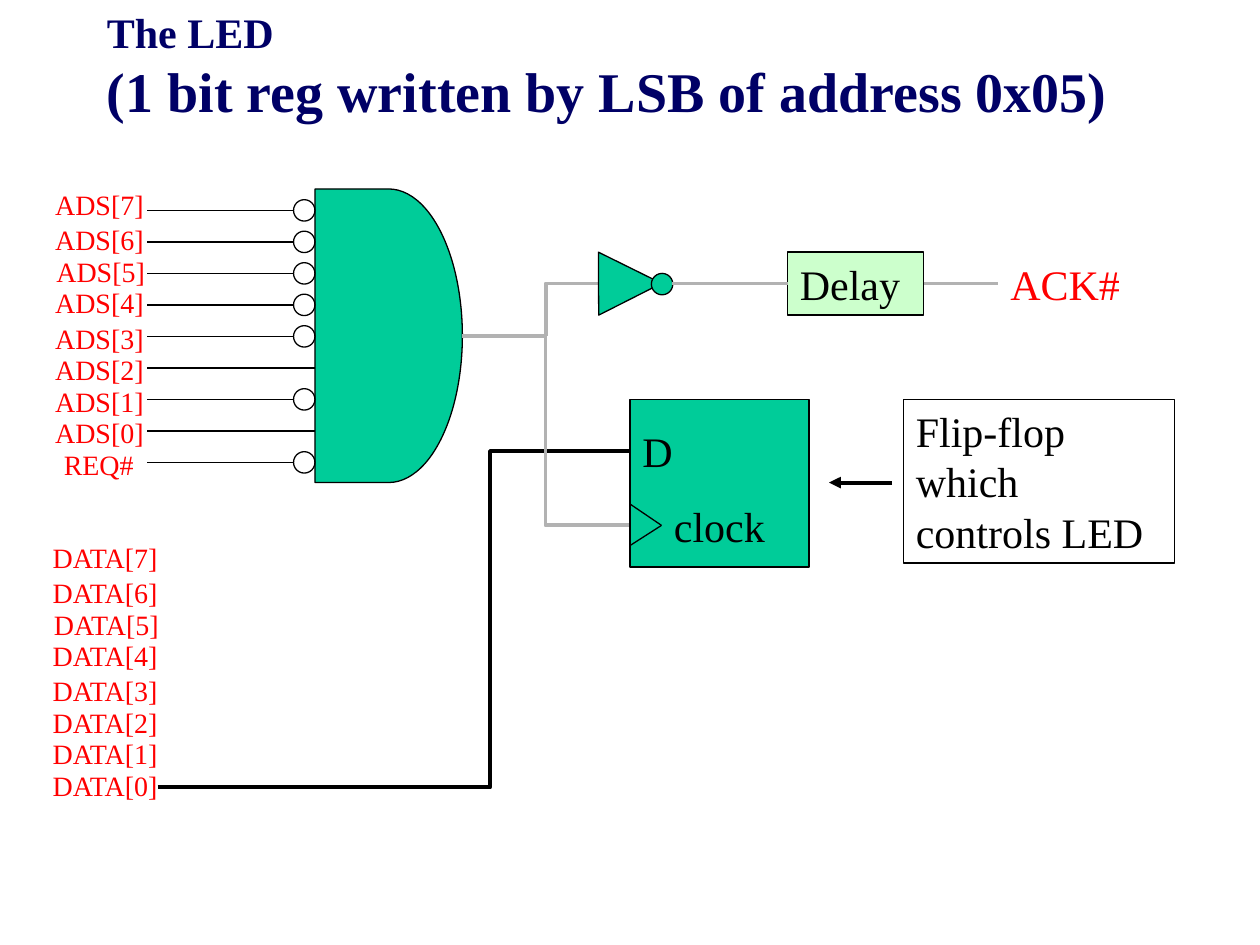
import pptx
import pptx.dml.color
import pptx.enum.shapes
import pptx.enum.text
import pptx.oxml
import pptx.oxml.ns
import pptx.util

Inches = pptx.util.Inches
SHAPE = pptx.enum.shapes.MSO_SHAPE
ALIGN = pptx.enum.text.PP_ALIGN
AUTO_SIZE = pptx.enum.text.MSO_AUTO_SIZE
STRAIGHT = pptx.enum.shapes.MSO_CONNECTOR.STRAIGHT
color = pptx.dml.color.RGBColor.from_string

BLACK, GREY, GREEN, RED = "000000", "B2B2B2", "00CC99", "FF0000"


def paint(shape, fill=None, line=BLACK, width=0.75):
    shape.line.color.rgb = color(line)
    shape.line.width = pptx.util.Pt(width)
    if shape.shape_type == pptx.enum.shapes.MSO_SHAPE_TYPE.LINE:
        shape._element.spPr.append(pptx.oxml.parse_xml(
            "<a:effectLst %s/>" % pptx.oxml.ns.nsdecls("a")))
        return
    shape.shadow.inherit = False
    if fill:
        shape.fill.solid()
        shape.fill.fore_color.rgb = color(fill)
    else:
        shape.fill.background()


def write(shape, text, size, text_color=BLACK, wrap=True, align=ALIGN.LEFT, bold=False):
    frame = shape.text_frame
    frame_format = {
        "word_wrap": wrap,
        "auto_size": AUTO_SIZE.SHAPE_TO_FIT_TEXT,
        "vertical_anchor": pptx.enum.text.MSO_ANCHOR.TOP,
    }
    for name, value in frame_format.items():
        setattr(frame, name, value)
    paragraph = frame.paragraphs[0]
    paragraph.text = text
    paragraph.alignment = align
    font_format = {"name": "Times New Roman", "size": pptx.util.Pt(size), "bold": bold}
    for run in paragraph.runs:
        for name, value in font_format.items():
            setattr(run.font, name, value)
        run.font.color.rgb = color(text_color)


presentation = pptx.Presentation()
presentation.slide_width = Inches(10)
presentation.slide_height = Inches(7.5)
slide = presentation.slides.add_slide(presentation.slide_layouts[6])
shapes = slide.shapes

# Title: small first line, larger second line
title = shapes.add_textbox(Inches(0.75), Inches(0), Inches(8.5), Inches(1.25))
write(title, "The LED\v(1 bit reg written by LSB of address 0x05)", 32, "000066", bold=True)
title.text_frame.auto_size = AUTO_SIZE.NONE
title.text_frame.paragraphs[0].runs[0].font.size = pptx.util.Pt(24)

# Address decoder: gate with nine inputs, inverted except ADS[2] and ADS[0]
gate = shapes.add_shape(SHAPE.FLOWCHART_DELAY, Inches(2.5), Inches(1.5), Inches(1.17), Inches(2.33))
paint(gate, GREEN)
bubble_size = 0.17
for row in range(9):
    y = 1.67 + 0.25 * row
    inverted = row not in (5, 7)
    input_line = shapes.add_connector(
        STRAIGHT, Inches(1.17), Inches(y), Inches(2.33 if inverted else 2.5), Inches(y))
    paint(input_line)
    if inverted:
        bubble = shapes.add_shape(
            SHAPE.OVAL, Inches(2.33), Inches(y - bubble_size / 2),
            Inches(bubble_size), Inches(bubble_size))
        paint(bubble)

# Bus labels, bit 7 at the top
bit_offsets = [0, 0.28, 0.53, 0.78, 1.06, 1.31, 1.56, 1.81]
for bus, left, top, width in [("ADS", 0.34, 1.44, 0.9), ("DATA", 0.32, 4.24, 1.07)]:
    for index, offset in enumerate(bit_offsets):
        bit = 7 - index
        label = shapes.add_textbox(
            Inches(left + (0.01 if bit == 5 else 0)), Inches(top + offset),
            Inches(width), Inches(0.37))
        write(label, f"{bus}[{bit}]", 16, RED, wrap=False)
request = shapes.add_textbox(Inches(0.36), Inches(3.5), Inches(0.8), Inches(0.37))
write(request, "REQ#", 16, RED, wrap=False, align=ALIGN.RIGHT)

# Bent wires: data bit to D, gate to clock, branch to the inverter
for wire_color, points in [
    (BLACK, [(1.25, 6.25), (3.89, 6.25), (3.89, 3.58), (5, 3.58)]),
    (GREY, [(3.67, 2.67), (4.33, 2.67), (4.33, 4.17), (5, 4.17)]),
    (GREY, [(4.33, 2.67), (4.33, 2.25), (4.75, 2.25)]),
]:
    corners = [(Inches(x), Inches(y)) for x, y in points]
    builder = shapes.build_freeform(*corners[0], scale=1.0)
    builder.add_line_segments(corners[1:], close=False)
    paint(builder.convert_to_shape(), line=wire_color, width=2.25)

# Boxes and inverter
parts = {}
for name, kind, left, top, width, height, fill in [
    ("flip-flop", SHAPE.RECTANGLE, 5, 3.17, 1.42, 1.33, GREEN),
    ("note", SHAPE.RECTANGLE, 7.17, 3.17, 2.15, 1.3, None),
    ("inverter", SHAPE.ISOSCELES_TRIANGLE, 4.75, 2, 0.5, 0.5, GREEN),
    ("inverter bubble", SHAPE.OVAL, 5.17, 2.17, 0.17, 0.17, GREEN),
    ("delay", SHAPE.RECTANGLE, 6.25, 2, 1.08, 0.5, "CCFFCC"),
]:
    parts[name] = shapes.add_shape(kind, Inches(left), Inches(top), Inches(width), Inches(height))
    paint(parts[name], fill)
parts["inverter"].rotation = 89.7
write(parts["note"], "Flip-flop which controls LED", 24)
write(parts["delay"], "Delay", 24)

# Flip-flop pins and output signal
for text, left, top, width, text_color, wrap in [
    ("clock", 5.25, 3.92, 1.42, BLACK, True),
    ("D", 5, 3.33, 0.58, BLACK, True),
    ("ACK#", 7.92, 2, 1.07, RED, False),
]:
    label = shapes.add_textbox(Inches(left), Inches(top), Inches(width), Inches(0.5))
    write(label, text, 24, text_color, wrap)

# Straight lines: clock mark, delay input and output, note arrow
lines = {}
for name, x1, y1, x2, y2, line_color, width in [
    ("clock upper", 5, 4, 5.25, 4.17, BLACK, 0.75),
    ("clock lower", 5.25, 4.17, 5, 4.33, BLACK, 0.75),
    ("delay input", 5.33, 2.25, 6.25, 2.25, GREY, 2.25),
    ("delay output", 7.33, 2.25, 7.92, 2.25, GREY, 2.25),
    ("note arrow", 7.08, 3.83, 6.58, 3.83, BLACK, 2.25),
]:
    lines[name] = shapes.add_connector(STRAIGHT, Inches(x1), Inches(y1), Inches(x2), Inches(y2))
    paint(lines[name], line=line_color, width=width)
lines["delay input"].end_connect(parts["delay"], 1)
lines["delay output"].begin_connect(parts["delay"], 3)
lines["note arrow"].line._get_or_add_ln().append(pptx.oxml.parse_xml(
    '<a:tailEnd type="triangle" %s/>' % pptx.oxml.ns.nsdecls("a")))

presentation.save("out.pptx")
